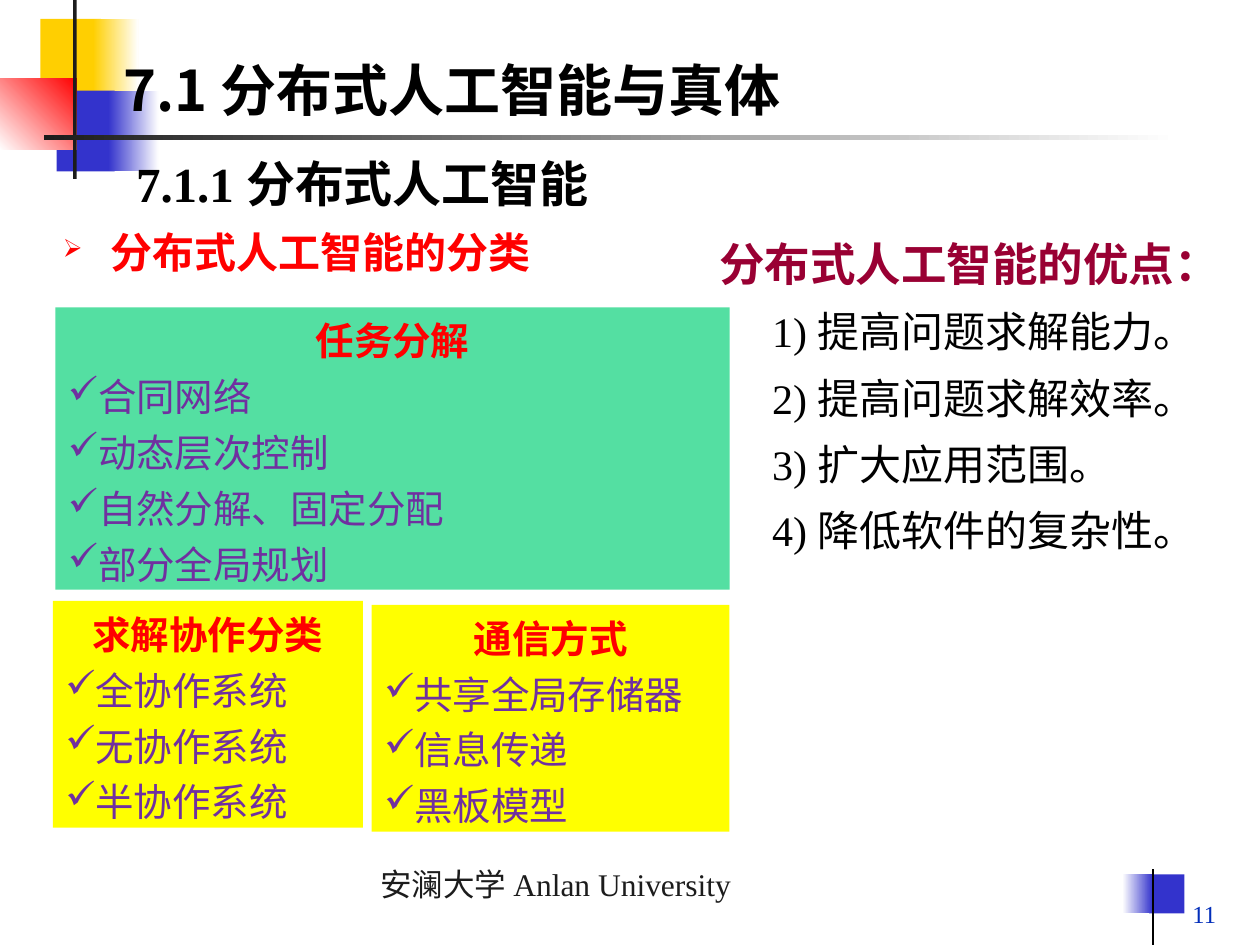
from dataclasses import dataclass

from lxml.etree import SubElement
from pptx import Presentation
from pptx.dml.color import RGBColor
from pptx.enum.shapes import MSO_CONNECTOR as Connector, MSO_SHAPE as Preset
from pptx.enum.text import MSO_ANCHOR as Anchor, PP_ALIGN as Align
from pptx.oxml.ns import qn
from pptx.util import Inches, Pt


@dataclass(frozen=True)
class Theme:
    latin: str = "Times New Roman"
    chinese: str = "Noto Sans CJK SC"
    black: str = "000000"
    ink: str = "1C1C1C"
    white: str = "FFFFFF"
    gold: str = "FFCF01"
    blue: str = "3333CC"
    red: str = "FF0000"
    purple: str = "7030A0"
    maroon: str = "990033"
    green: str = "54DFA2"
    yellow: str = "FFFF00"
    number_blue: str = "022EBA"
    title: int = 32
    section: int = 28
    advantage: int = 26
    item: int = 24
    card: int = 22
    footer: int = 18
    number: int = 14
    line_factor: float = 1.2


THEME = Theme()


@dataclass(frozen=True)
class Box:
    """A region measured in grid units of one inch."""
    left: float
    top: float
    width: float
    height: float

    def within(self, left, top, width, height):
        """Return a box whose position is relative to this one."""
        return Box(self.left + left, self.top + top, width, height)

    def emu(self):
        return [Inches(n) for n in (self.left, self.top, self.width, self.height)]


def rgb(color):
    return RGBColor.from_string(color)


def add_rectangle(slide, box, color, end_color=None, angle=0):
    """Draw a borderless rectangle, as a gradient if end_color is given."""
    shape = slide.shapes.add_shape(Preset.RECTANGLE, *box.emu())
    shape.shadow.inherit = False
    shape.line.fill.background()
    if end_color:
        shape.fill.gradient()
        shape.fill.gradient_angle = angle
        for stop, stop_color in zip(shape.fill.gradient_stops, (color, end_color)):
            stop.color.rgb = rgb(stop_color)
    else:
        shape.fill.solid()
        shape.fill.fore_color.rgb = rgb(color)
    return shape


def prepare_frame(shape, margins=(0, 0, 0, 0), anchor=Anchor.TOP, wrap=True):
    """Set margins (left, top, right, bottom) and return the text frame."""
    frame = shape.text_frame
    frame.word_wrap = wrap
    frame.vertical_anchor = anchor
    (frame.margin_left, frame.margin_top,
     frame.margin_right, frame.margin_bottom) = map(Inches, margins)
    return frame


def add_text_frame(slide, box, **options):
    return prepare_frame(slide.shapes.add_textbox(*box.emu()), **options)


def write(paragraph, text, size, color, bold=False, font=THEME.chinese, align=Align.LEFT):
    paragraph.text = text
    paragraph.alignment = align
    paragraph.font.size = Pt(size)
    paragraph.font.bold = bold
    paragraph.font.color.rgb = rgb(color)
    for run in paragraph.runs:
        set_fonts(run, font)


def set_fonts(run, latin):
    """Pair the Latin font with the Chinese one."""
    run.font.name = latin
    east_asian = SubElement(run.font._element, qn("a:ea"))
    east_asian.set("typeface", THEME.chinese)


def set_spacing(paragraph, size, before):
    paragraph.line_spacing = Pt(size * THEME.line_factor)
    paragraph.space_before = Pt(before)


def set_indent(paragraph, left, first=0):
    properties = paragraph._p.get_or_add_pPr()
    properties.set("marL", str(Inches(left)))
    properties.set("indent", str(Inches(first)))
    return properties


def add_bullet(paragraph, character, color, indent=0, percent=100):
    properties = set_indent(paragraph, indent, -indent)
    bullet_color = SubElement(properties, qn("a:buClr"))
    SubElement(bullet_color, qn("a:srgbClr")).set("val", color)
    SubElement(properties, qn("a:buSzPct")).set("val", str(percent * 1000))
    SubElement(properties, qn("a:buChar")).set("char", character)
    # The schema wants the default run properties after the bullet.
    properties.append(properties.find(qn("a:defRPr")))


def add_corner_ornament(slide, box):
    for left, top, width, height, *fill in (
        (0.32, 0.15, 0.48, 0.64, THEME.gold),
        (0.74, 0.15, 0.36, 0.64, THEME.gold, THEME.white),
        (0.45, 0.72, 0.46, 0.64, THEME.blue),
        (0.86, 0.72, 0.4, 0.64, THEME.blue, THEME.white),
        (0, 0.62, 0.61, 0.57, THEME.white, THEME.red, 45),
        (0.58, 0, 0.03, 1.42, THEME.ink),
        (0.35, 1.07, 9, 0.04, THEME.ink, THEME.white),
    ):
        add_rectangle(slide, box.within(left, top, width, height), *fill)


def add_footer(slide, box):
    add_rectangle(slide, box.within(9.12, 0.12, 0.28, 0.31), THEME.blue)
    add_rectangle(slide, box.within(8.91, 0.12, 0.24, 0.31), THEME.white, THEME.blue)
    x = Inches(box.left + 9.15)
    rule = slide.shapes.add_connector(
        Connector.STRAIGHT, x, Inches(box.top + 0.08), x, Inches(box.top + box.height))
    rule.line.color.rgb = rgb(THEME.black)
    rule.line.width = Pt(0.75)
    SubElement(rule._element.spPr, qn("a:effectLst"))

    margins = (0.1, 0.05, 0.1, 0.05)
    frame = add_text_frame(slide, box.within(2.92, 0, 3.06, 0.4), margins=margins, wrap=False)
    write(frame.paragraphs[0], "安澜大学 Anlan University", THEME.footer, THEME.ink,
          font=THEME.latin)
    frame = add_text_frame(slide, box.within(7.67, 0.08, 2.08, 0.52), margins=margins,
                           anchor=Anchor.BOTTOM)
    write(frame.paragraphs[0], "11", THEME.number, THEME.number_blue,
          font=THEME.latin, align=Align.RIGHT)


def add_headings(slide, box):
    frame = add_text_frame(slide, box.within(0.48, 0, 8.33, 0.63))
    write(frame.paragraphs[0], "7.1 分布式人工智能与真体", THEME.title, THEME.black, bold=True)

    frame = add_text_frame(slide, box.within(0.58, 0.78, 5.18, 0.57))
    section = frame.paragraphs[0]
    write(section, "7.1.1 ", THEME.section, THEME.black, bold=True, font=THEME.latin)
    name = section.add_run()
    name.text = "分布式人工智能"
    set_fonts(name, THEME.chinese)

    frame = add_text_frame(slide, box.within(0, 1.36, 4.5, 0.5))
    topic = frame.paragraphs[0]
    write(topic, "分布式人工智能的分类", THEME.item, THEME.red, bold=True)
    add_bullet(topic, "➢", THEME.red, indent=0.38, percent=60)


def add_card(slide, box, color, heading, items):
    frame = prepare_frame(add_rectangle(slide, box, color), margins=(0.1, 0.08, 0.1, 0))
    first = frame.paragraphs[0]
    write(first, heading, THEME.card, THEME.red, bold=True, align=Align.CENTER)
    set_spacing(first, THEME.card, 0)
    for item in items:
        paragraph = frame.add_paragraph()
        write(paragraph, item, THEME.card, THEME.purple)
        set_spacing(paragraph, THEME.card, 5.5)
        add_bullet(paragraph, "✓", THEME.purple)


def add_advantages(slide, box, heading, items):
    frame = add_text_frame(slide, box, margins=(0.1, 0.09, 0.1, 0.05))
    first = frame.paragraphs[0]
    write(first, heading, THEME.advantage, THEME.maroon, bold=True, font=THEME.latin)
    set_spacing(first, THEME.advantage, 0)
    for number, item in enumerate(items, start=1):
        paragraph = frame.add_paragraph()
        write(paragraph, f"{number}) {item}", THEME.item, THEME.black, font=THEME.latin)
        set_spacing(paragraph, THEME.item, 9)
        set_indent(paragraph, 0.42)


def main():
    presentation = Presentation()
    presentation.slide_width, presentation.slide_height = Inches(10), Inches(7.5)
    slide = presentation.slides.add_slide(presentation.slide_layouts[6])
    add_corner_ornament(slide, Box(0, 0, 10, 1.42))
    add_footer(slide, Box(0, 6.82, 10, 0.68))
    add_headings(slide, Box(0.5, 0.44, 8.81, 1.86))
    add_card(slide, Box(0.44, 2.44, 5.35, 2.24), THEME.green, "任务分解",
             ("合同网络", "动态层次控制", "自然分解、固定分配", "部分全局规划"))
    add_card(slide, Box(0.42, 4.77, 2.46, 1.8), THEME.yellow, "求解协作分类",
             ("全协作系统", "无协作系统", "半协作系统"))
    add_card(slide, Box(2.95, 4.8, 2.84, 1.8), THEME.yellow, "通信方式",
             ("共享全局存储器", "信息传递", "黑板模型"))
    add_advantages(slide, Box(5.61, 1.78, 4.25, 2.64), "分布式人工智能的优点：",
                   ("提高问题求解能力。", "提高问题求解效率。", "扩大应用范围。", "降低软件的复杂性。"))
    presentation.save("out.pptx")


if __name__ == "__main__":
    main()
